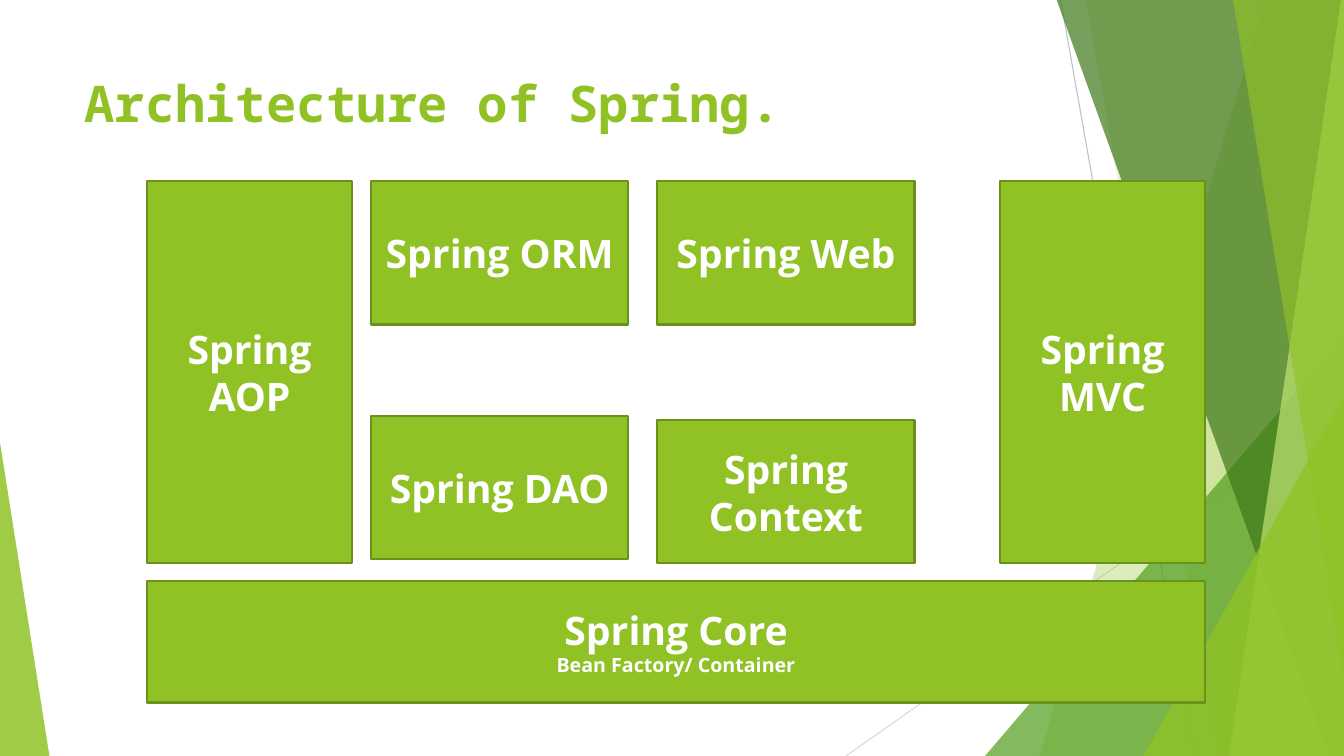
from dataclasses import dataclass

from lxml.etree import SubElement
from pptx import Presentation
from pptx.dml.color import RGBColor
from pptx.enum.shapes import MSO_CONNECTOR, MSO_SHAPE
from pptx.enum.text import MSO_ANCHOR, MSO_AUTO_SIZE, PP_ALIGN
from pptx.oxml.ns import qn
from pptx.util import Pt

PX = 9144  # 100 px to the inch


@dataclass(frozen=True)
class Theme:
    green: str = "90C226"
    mid_green: str = "54A021"
    dark_green: str = "3F7819"
    pale_green: str = "C0E474"
    border: str = "6B901C"
    white: str = "FFFFFF"
    ray: str = "BFBFBF"
    pale_ray: str = "D9D9D9"
    title_font: str = "Noto Sans Mono"
    body_font: str = "Open Sans"
    title_size: int = 36
    module_size: int = 28
    note_size: int = 14


THEME = Theme()


def emu(*lengths):
    return [length * PX for length in lengths]


def set_values(target, values):
    for name, value in values.items():
        setattr(target, name, value)


def style_text(font, name, size, color):
    set_values(font, {"name": name, "size": Pt(size), "bold": True})
    font.color.rgb = RGBColor.from_string(color)


def fill_translucent(shape, color, opacity):
    shape.shadow.inherit = False
    shape.line.fill.background()
    shape.fill.solid()
    shape.fill.fore_color.rgb = RGBColor.from_string(color)
    tint = shape.fill._xPr.find(qn("a:solidFill"))[0]
    SubElement(tint, qn("a:alpha"), val=str(opacity * 1000))


def add_ray(slide, start, end, color):
    ray = slide.shapes.add_connector(MSO_CONNECTOR.STRAIGHT, *emu(*start, *end))
    ray.line.color.rgb = RGBColor.from_string(color)
    ray.line.width = Pt(0.75)
    SubElement(ray._element.spPr, qn("a:effectLst"))


def add_band(slide, box, top_x, bottom_x, color, opacity):
    """Fill from a slanted left edge to the right side of the box."""
    left, top, width, height = box
    right, bottom = left + width, top + height
    outline = slide.shapes.build_freeform(left + top_x, top, scale=PX)
    outline.add_line_segments(
        [(right, top), (right, bottom), (left + bottom_x, bottom)])
    fill_translucent(outline.convert_to_shape(), color, opacity)


def add_corner(slide, box, apex, color, opacity):
    corner = slide.shapes.add_shape(MSO_SHAPE.ISOSCELES_TRIANGLE, *emu(*box))
    corner.adjustments[0] = apex
    fill_translucent(corner, color, opacity)


def add_facets(slide, box):
    left, top, width, height = box
    right, bottom = left + width, top + height
    add_ray(slide, (left + 48, top), (left + 181, bottom), THEME.ray)
    add_ray(slide, (right, top + 403), (left - 165, bottom), THEME.pale_ray)
    # Each facet: drawing function, geometry, colour, opacity
    facets = [
        (add_band, (251, 27), THEME.green, 30),
        (add_band, (73, 206), THEME.green, 20),
        (add_corner, (356, 417), THEME.mid_green, 72),
        (add_band, (44, 314), THEME.dark_green, 70),
        (add_band, (326, 215), THEME.pale_green, 70),
        (add_band, (219, 341), THEME.green, 65),
        (add_corner, (199, 357), THEME.green, 80),
    ]
    for draw, (first, second), color, opacity in facets:
        if draw is add_band:
            add_band(slide, box, first, second, color, opacity)
        else:
            corner = (right - first, bottom - second, first, second)
            add_corner(slide, corner, 1, color, opacity)


def add_title(slide, box, wording):
    title = slide.shapes.title
    set_values(title, dict(zip(("left", "top", "width", "height"), emu(*box))))
    frame = title.text_frame
    frame.text = wording
    set_values(frame, {"vertical_anchor": MSO_ANCHOR.TOP, "word_wrap": True,
                       "auto_size": MSO_AUTO_SIZE.NONE})
    heading = frame.paragraphs[0]
    heading.alignment = PP_ALIGN.LEFT
    style_text(heading.runs[0].font, THEME.title_font, THEME.title_size, THEME.green)


def add_module(slide, box, name, note=None):
    module = slide.shapes.add_shape(MSO_SHAPE.RECTANGLE, *emu(*box))
    module.shadow.inherit = False
    module.fill.solid()
    module.fill.fore_color.rgb = RGBColor.from_string(THEME.green)
    module.line.color.rgb = RGBColor.from_string(THEME.border)
    module.line.width = Pt(1.5)
    frame = module.text_frame
    set_values(frame, {"word_wrap": True, "vertical_anchor": MSO_ANCHOR.MIDDLE})
    frame.text = f"{name}\n{note}" if note else name
    for paragraph, size in zip(frame.paragraphs, (THEME.module_size, THEME.note_size)):
        paragraph.alignment = PP_ALIGN.CENTER
        style_text(paragraph.runs[0].font, THEME.body_font, size, THEME.white)


def add_architecture(slide, box):
    left, top, width, height = box
    pillar, tile, core_height = (203, 379), (255, 142), 121
    modules = [
        ("Spring AOP", 0, 0, pillar),
        ("Spring DAO", 222, 233, tile),
        ("Spring ORM", 222, 0, tile),
        ("Spring Web", 506, 0, tile),
        ("Spring Context", 506, 237, tile),
        ("Spring MVC", width - pillar[0], 0, pillar),
    ]
    core = (left, top + height - core_height, width, core_height)
    add_module(slide, core, "Spring Core", "Bean Factory/ Container")
    for name, x, y, size in modules:
        add_module(slide, (left + x, top + y, *size), name)


def main():
    deck = Presentation()
    width, height = 1333, 750
    deck.slide_width, deck.slide_height = emu(width, height)
    slide = deck.slides.add_slide(deck.slide_layouts[5])
    add_facets(slide, (977 + 27, 0, width - 1004, height))
    add_corner(slide, (0, 439, 49, 311), 0, THEME.green, 85)
    add_title(slide, (74, 67, 940, 91), "Architecture of Spring.")
    add_architecture(slide, (146, 180, 1049, 517))
    deck.save("out.pptx")


if __name__ == "__main__":
    main()
